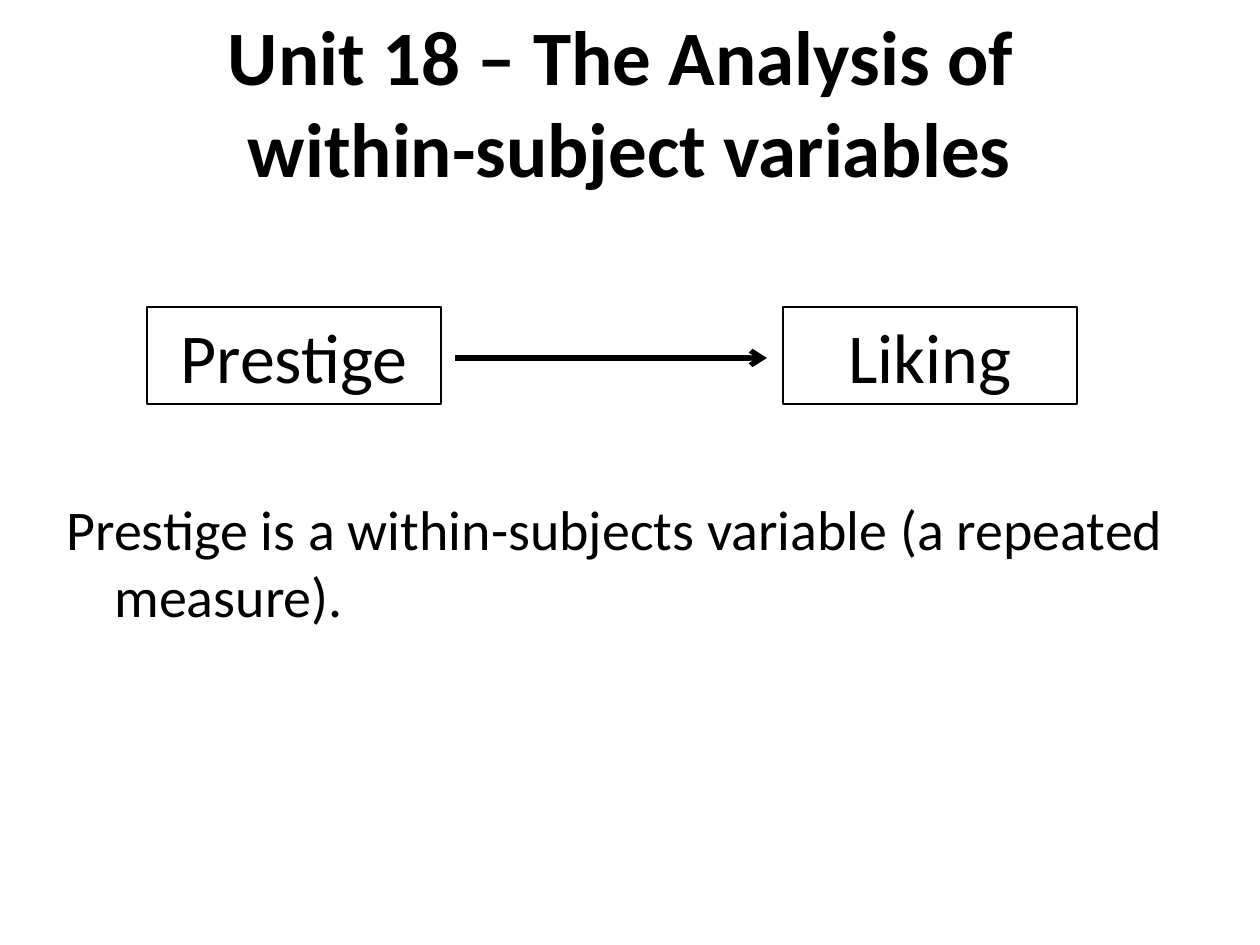
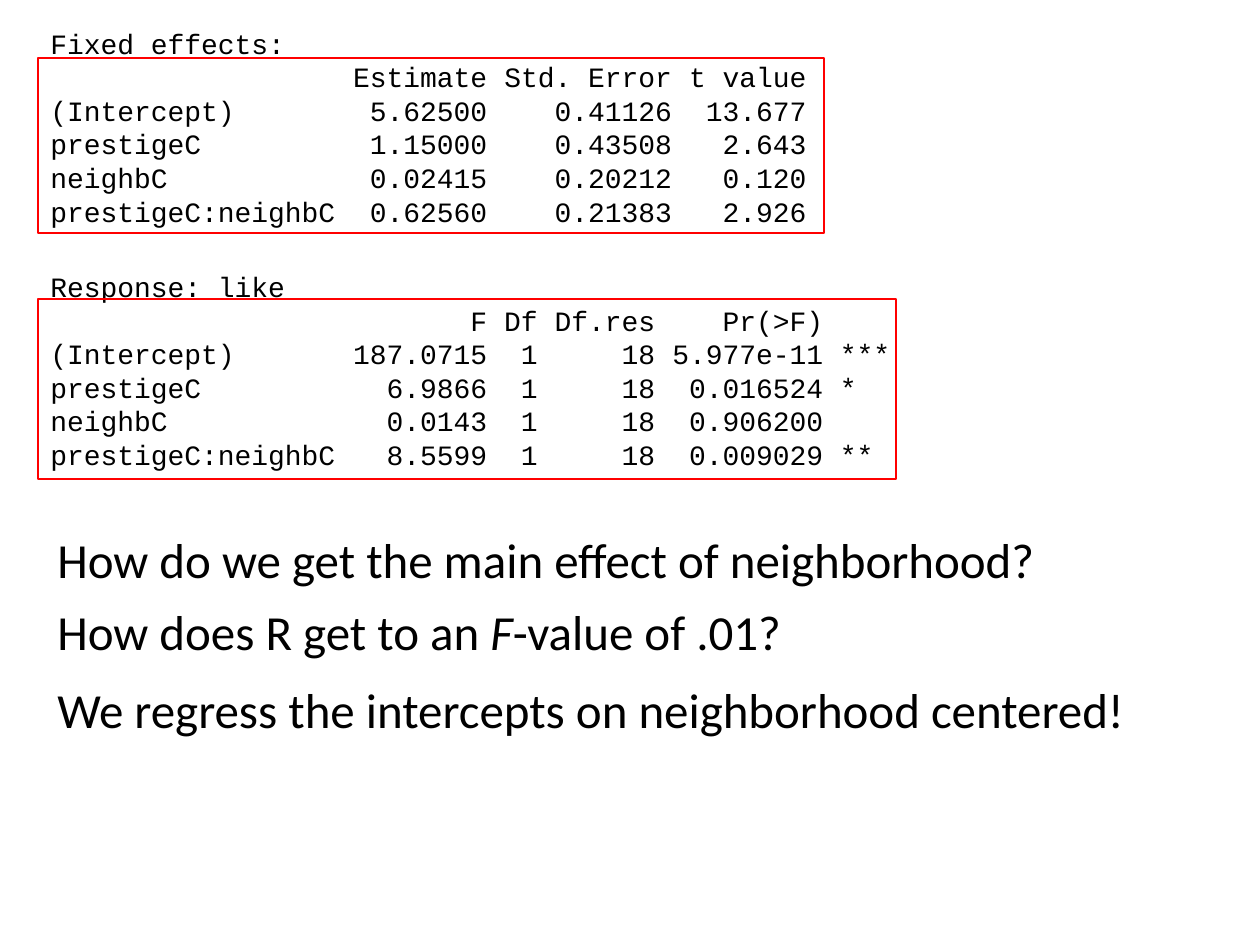
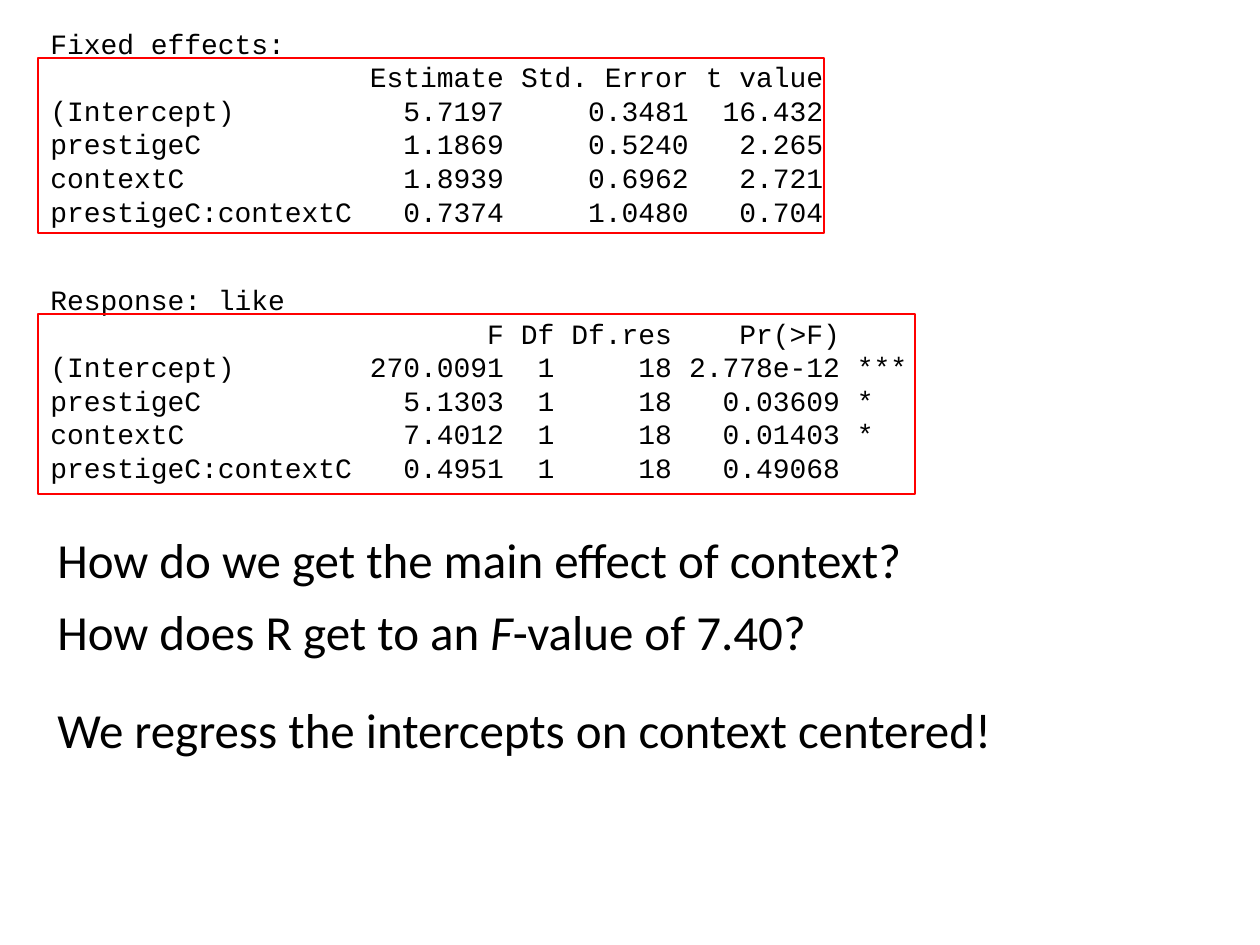
from itertools import accumulate

from lxml import etree
from pptx import Presentation
from pptx.dml.color import RGBColor
from pptx.enum.shapes import MSO_CONNECTOR, MSO_SHAPE
from pptx.enum.text import MSO_ANCHOR, MSO_AUTO_SIZE, PP_ALIGN
from pptx.oxml.ns import qn
from pptx.util import Emu, Pt

RECTANGLE = MSO_SHAPE.RECTANGLE
STRAIGHT = MSO_CONNECTOR.STRAIGHT
TOP, MIDDLE = MSO_ANCHOR.TOP, MSO_ANCHOR.MIDDLE
LEFT, CENTER = PP_ALIGN.LEFT, PP_ALIGN.CENTER
NO_AUTOSIZE = MSO_AUTO_SIZE.NONE

EMU_PER_PX = 914400 // 126
PAGE_WIDTH, PAGE_HEIGHT = 1260, 945
TITLE_ONLY, BLANK = 5, 6
BLACK, RED = "000000", "FF0000"
BODY_FONT, CODE_FONT = "Calibri", "Courier New"
CODE_SIZE = 16
CODE_CHARACTER = Pt(9.6)
CODE_LINE = Pt(19.2)
HANGING = 48

ESTIMATE_COLUMNS = (9, 11, 8)
TEST_COLUMNS = (9, 3, 7, 10)
ESTIMATE_HEADS = ("", "Estimate", "Std. Error", "t value")
TEST_HEADS = ("", "F", "Df", "Df.res", "Pr(>F)")

NEIGHBORHOOD = {
    "estimates": [
        ("(Intercept)", "5.62500", "0.41126", "13.677"),
        ("prestigeC", "1.15000", "0.43508", "2.643"),
        ("neighbC", "0.02415", "0.20212", "0.120"),
        ("prestigeC:neighbC", "0.62560", "0.21383", "2.926"),
    ],
    "tests": [
        ("(Intercept)", "187.0715", "1", "18", "5.977e-11", "***"),
        ("prestigeC", "6.9866", "1", "18", "0.016524", "*"),
        ("neighbC", "0.0143", "1", "18", "0.906200"),
        ("prestigeC:neighbC", "8.5599", "1", "18", "0.009029", "**"),
    ],
    "gap": 42,
    "test_frame": (38, 299, 858, 180),
    "questions": [
        (523, "How do we get the main effect of neighborhood?"),
        (595, "How does R get to an *F*-value of .01?"),
        (673, "We regress the intercepts on neighborhood centered!"),
    ],
}
CONTEXT = {
    "estimates": [
        ("(Intercept)", "5.7197", "0.3481", "16.432"),
        ("prestigeC", "1.1869", "0.5240", "2.265"),
        ("contextC", "1.8939", "0.6962", "2.721"),
        ("prestigeC:contextC", "0.7374", "1.0480", "0.704"),
    ],
    "tests": [
        ("(Intercept)", "270.0091", "1", "18", "2.778e-12", "***"),
        ("prestigeC", "5.1303", "1", "18", "0.03609", "*"),
        ("contextC", "7.4012", "1", "18", "0.01403", "*"),
        ("prestigeC:contextC", "0.4951", "1", "18", "0.49068"),
    ],
    "gap": 55,
    "test_frame": (38, 314, 877, 180),
    "questions": [
        (523, "How do we get the main effect of context?"),
        (595, "How does R get to an *F*-value of 7.40?"),
        (693, "We regress the intercepts on context centered!"),
    ],
}


def px(length):
    return Emu(length * EMU_PER_PX)


def place(box):
    return [px(length) for length in box]


def color(hex_text):
    return RGBColor.from_string(hex_text)


def set_font(para, size, name=BODY_FONT, bold=False):
    para.font.name = name
    para.font.size = Pt(size)
    para.font.bold = bold
    para.font.color.rgb = color(BLACK)


def set_hanging(para):
    properties = para._p.get_or_add_pPr()
    properties.set("marL", str(px(HANGING)))
    properties.set("indent", str(-px(HANGING)))


def set_tabs(para, stops):
    tabs = etree.SubElement(para._p.get_or_add_pPr(), qn("a:tabLst"))
    for column, side in stops:
        position = str(column * CODE_CHARACTER)
        etree.SubElement(tabs, qn("a:tab"), pos=position, algn=side)


def fill_text(frame, text, size, align=LEFT):
    frame.word_wrap = True
    frame.vertical_anchor = TOP
    para = frame.paragraphs[0]
    para.alignment = align
    set_hanging(para)
    set_font(para, size)
    for index, piece in enumerate(text.split("*")):
        span = para.add_run()
        span.text = piece
        if index % 2:
            span.font.italic = True


def add_sentence(page, box, text, size):
    fill_text(page.shapes.add_textbox(*place(box)).text_frame, text, size)


def add_outline(page, box, line_color):
    outline = page.shapes.add_shape(RECTANGLE, *place(box))
    outline.shadow.inherit = False
    outline.fill.background()
    outline.line.color.rgb = color(line_color)
    outline.line.width = Pt(0.75)
    return outline


def add_arrow(page, start, end):
    arrow = page.shapes.add_connector(STRAIGHT, *place(start + end))
    arrow.line.color.rgb = color(BLACK)
    arrow.line.width = Pt(3)
    line = arrow.line._get_or_add_ln()
    etree.SubElement(line, qn("a:tailEnd"), type="arrow")
    etree.SubElement(arrow._element.spPr, qn("a:effectLst"))


def add_title(page, box, text):
    title = page.shapes.title
    title.left, title.top, title.width, title.height = place(box)
    frame = title.text_frame
    frame.auto_size = NO_AUTOSIZE
    frame.vertical_anchor = MIDDLE
    para = frame.paragraphs[0]
    para.text = text
    para.alignment = CENTER
    set_font(para, 44, bold=True)


def add_cause_diagram(page, box, cause, effect):
    left, top, width, height = box
    box_width, gap = 294, 14
    middle = top + 51
    effect_left = left + width - box_width
    for box_left, label in ((left, cause), (effect_left, effect)):
        outline = add_outline(page, (box_left, top, box_width, height), BLACK)
        fill_text(outline.text_frame, label, 40, CENTER)
    add_arrow(page, (left + box_width + gap, middle), (effect_left - gap - 2, middle))


def code_stops(rows, columns):
    longest = max(len(row[0]) for row in rows)
    ends = list(accumulate(columns, initial=longest))[1:]
    return [(end, "r") for end in ends] + [(ends[-1] + 1, "l")]


def add_model_output(page, box, model):
    frame = page.shapes.add_textbox(*place(box)).text_frame
    frame.word_wrap = True
    sections = (
        ("Fixed effects:", ESTIMATE_HEADS, model["estimates"], ESTIMATE_COLUMNS, 0),
        ("Response: like", TEST_HEADS, model["tests"], TEST_COLUMNS, model["gap"]),
    )
    para = frame.paragraphs[0]
    for heading, heads, rows, columns, gap in sections:
        stops = code_stops(rows, columns)
        for cells in [(heading,), heads, *rows]:
            if para is None:
                para = frame.add_paragraph()
            para.text = "\t".join(cells)
            set_tabs(para, stops)
            para.line_spacing = CODE_LINE
            para.space_before = px(gap if cells == (heading,) else 0)
            set_font(para, CODE_SIZE, CODE_FONT)
            para = None


def build_opening(deck):
    page = deck.slides.add_slide(deck.slide_layouts[TITLE_ONLY])
    add_title(page, (0, 34, PAGE_WIDTH, 134),
              "Unit 18 – The Analysis of \vwithin-subject variables")
    add_cause_diagram(page, (147, 307, 930, 97), "Prestige", "Liking")
    add_sentence(page, (54, 488, 1176, 147),
                 "Prestige is a within-subjects variable (a repeated measure).", 32)


def build_model_page(deck, model):
    page = deck.slides.add_slide(deck.slide_layouts[BLANK])
    add_model_output(page, (38, 20, 1222, 459), model)
    for box in ((38, 58, 786, 175), model["test_frame"]):
        add_outline(page, box, RED)
    for top, question in model["questions"]:
        add_sentence(page, (45, top, 1114, 72), question, 28)


def main():
    deck = Presentation()
    deck.slide_width, deck.slide_height = px(PAGE_WIDTH), px(PAGE_HEIGHT)
    build_opening(deck)
    for model in (NEIGHBORHOOD, CONTEXT):
        build_model_page(deck, model)
    deck.save("out.pptx")


if __name__ == "__main__":
    main()
